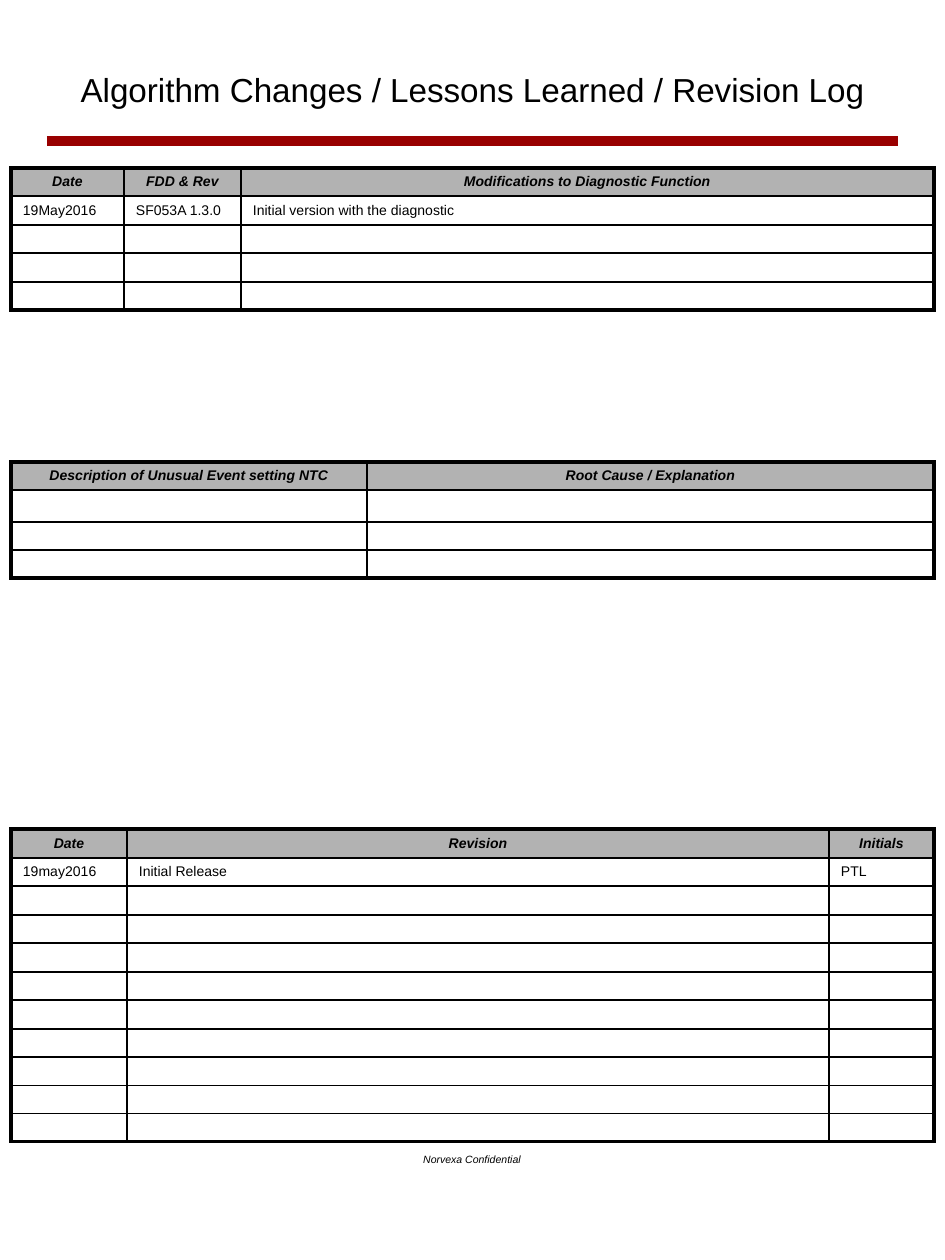
from lxml.etree import SubElement as Sub
from pptx import Presentation
from pptx.dml.color import RGBColor as Rgb
from pptx.enum.shapes import MSO_CONNECTOR as Link
from pptx.enum.text import MSO_ANCHOR as Anchor, PP_ALIGN as Align
from pptx.oxml.ns import qn
from pptx.util import Emu, Pt

PX = 914400 // 126
FONT = "Arial"
HUES = {"ink": "000000", "head": "B2B2B2", "rule": "990000"}
THIN, THICK = 1, 2.25


def px(num):
    return Emu(num * PX)


def hue(name):
    return Rgb.from_string(HUES[name])


def write(para, text, size, bold=False, slant=False, align=Align.CENTER):
    para.alignment = align
    run = para.add_run()
    run.text = text
    font = run.font
    font.name, font.size = FONT, Pt(size)
    font.bold, font.italic = bold, slant
    font.color.rgb = hue("ink")


def label(slide, box, text, size, slant=False, anchor=Anchor.TOP):
    frame = slide.shapes.add_textbox(*map(px, box)).text_frame
    frame.word_wrap = True
    frame.vertical_anchor = anchor
    frame.margin_left = frame.margin_right = px(10)
    frame.margin_top = frame.margin_bottom = px(5)
    write(frame.paragraphs[0], text, size, slant=slant)


def rule(slide, left, top, width):
    line = slide.shapes.add_connector(
        Link.STRAIGHT, px(left), px(top), px(left + width), px(top))
    line.line.color.rgb = hue("rule")
    line.line.width = Pt(6)
    Sub(line._element.spPr, qn("a:effectLst"))


def edge(cell, side, width):
    line = Sub(cell._tc.get_or_add_tcPr(), qn("a:ln" + side), w=str(Pt(width)))
    fill = Sub(line, qn("a:solidFill"))
    Sub(fill, qn("a:srgbClr"), val=HUES["ink"])


def style(cell, row, col, last, end):
    cell.margin_left = cell.margin_right = px(12)
    cell.margin_top = cell.margin_bottom = px(4)
    cell.vertical_anchor = Anchor.MIDDLE
    outer = {"L": col == 0, "R": col == end, "T": row == 0, "B": row == last}
    for side, thick in outer.items():
        edge(cell, side, THICK if thick else THIN)
    if row == 0:
        cell.fill.solid()
        cell.fill.fore_color.rgb = hue("head")
    else:
        cell.fill.background()


def log(slide, left, top, cols, rows, texts):
    grid = slide.shapes.add_table(
        len(rows), len(cols), px(left), px(top), px(sum(cols)), px(sum(rows))).table
    grid.first_row = grid.horz_banding = False
    for col, width in zip(grid.columns, cols):
        col.width = px(width)
    for r, height in enumerate(rows):
        grid.rows[r].height = px(height)
        for c in range(len(cols)):
            cell = grid.cell(r, c)
            style(cell, r, c, len(rows) - 1, len(cols) - 1)
            para = cell.text_frame.paragraphs[0]
            para.space_before = Pt(1.6)
            if r < len(texts):
                head = r == 0
                write(para, texts[r][c], 8, head, head,
                      Align.CENTER if head else Align.LEFT)
            else:
                Sub(para._p, qn("a:endParaRPr"), sz="800")


def main():
    deck = Presentation()
    deck.slide_width, deck.slide_height = px(945), px(1260)
    slide = deck.slides.add_slide(deck.slide_layouts[6])
    rule(slide, 47, 141, 851)
    label(slide, (322, 1148, 300, 87), "Norvexa Confidential", 6, slant=True)
    log(slide, 11, 829, (116, 702, 105), (29, 28) * 5 + (28,), [
        ("Date", "Revision", "Initials"),
        ("19may2016", "Initial Release", "PTL")])
    log(slide, 11, 462, (356, 567), (28, 32, 28, 28), [
        ("Description of Unusual Event setting NTC", "Root Cause / Explanation")])
    log(slide, 11, 168, (113, 117, 693), (28, 29) * 2 + (28,), [
        ("Date", "FDD & Rev", "Modifications to Diagnostic Function"),
        ("19May2016", "SF053A 1.3.0", "Initial version with the diagnostic")])
    label(slide, (47, 51, 851, 76),
          "Algorithm Changes / Lessons Learned / Revision Log", 19, anchor=Anchor.MIDDLE)
    deck.save("out.pptx")


if __name__ == "__main__":
    main()
